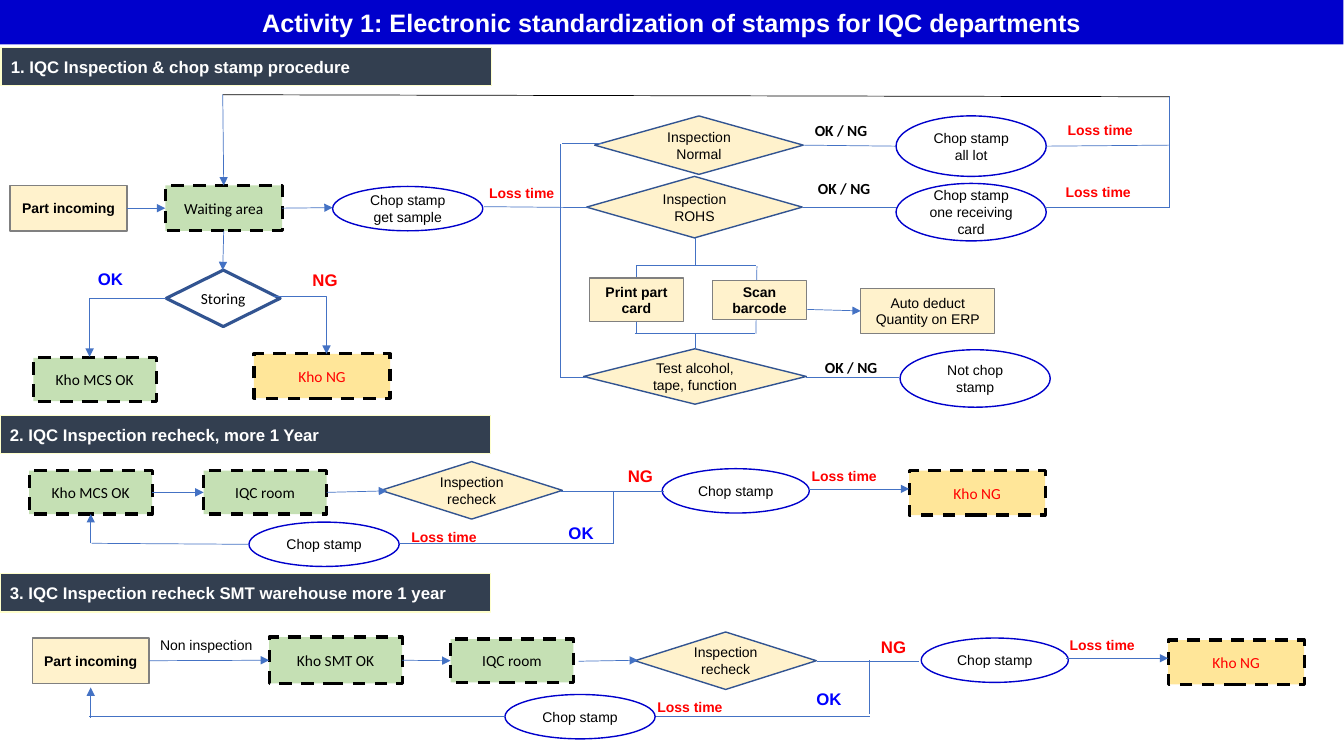
from dataclasses import dataclass
from typing import Optional

from lxml.etree import SubElement
from pptx import Presentation
from pptx.dml.color import RGBColor
from pptx.enum.dml import MSO_LINE
from pptx.enum.shapes import MSO_CONNECTOR, MSO_SHAPE
from pptx.enum.text import MSO_ANCHOR, MSO_AUTO_SIZE, PP_ALIGN
from pptx.oxml.ns import qn
from pptx.util import Cm, Pt

COLORS = {
    "title": "0000CC", "heading": "333F50", "cream": "FFF2CC", "green": "C5E0B4",
    "gold": "FFE699", "pale": "FFFFCC", "gray": "808080", "edge": "325491",
    "flow": "4472C4", "black": "000000", "white": "FFFFFF", "red": "FF0000",
    "blue": "0000FF",
}
CM_PER_INCH = 2.54
JOIN_GAP = Cm(0.08)


@dataclass(frozen=True)
class Style:
    w: float
    h: float
    shape: Optional[MSO_SHAPE] = None
    fill: Optional[str] = None
    line: Optional[str] = None
    line_pt: float = 1
    dash: bool = False
    font: str = "Arial"
    size: float = 10
    color: str = "black"
    bold: bool = False
    align: PP_ALIGN = PP_ALIGN.CENTER
    inset: Optional[float] = None


@dataclass(frozen=True)
class Box:
    style: str
    text: str
    x: float
    y: float
    w: Optional[float] = None
    h: Optional[float] = None


@dataclass(frozen=True)
class Link:
    x1: float
    y1: float
    x2: float
    y2: float
    arrow: bool = False
    bent: bool = False
    color: str = "flow"


RECT, OVAL, DIAMOND = MSO_SHAPE.RECTANGLE, MSO_SHAPE.OVAL, MSO_SHAPE.DIAMOND
STYLES = {
    "title": Style(13.33, 0.44, RECT, "title", size=18, color="white", bold=True),
    "heading": Style(4.87, 0.38, RECT, "heading", "pale", size=12, color="white",
                     bold=True, align=PP_ALIGN.LEFT),
    "part": Style(1.16, 0.45, RECT, "cream", "gray", bold=True),
    "auto": Style(1.33, 0.45, RECT, "cream", "gray"),
    "area": Style(1.22, 0.43, RECT, "green", "black", 2.25, True, "Calibri", 11),
    "reject": Style(1.35, 0.44, RECT, "gold", "black", 2.25, True, "Calibri", 11, "red"),
    "check": Style(1.8, 0.57, DIAMOND, "cream", "edge"),
    "storing": Style(1.13, 0.56, MSO_SHAPE.FLOWCHART_DECISION, None, "edge", 2.25,
                     font="Calibri", size=11, inset=0),
    "stamp": Style(1.49, 0.44, OVAL, None, "title"),
    "either": Style(0.91, 0.29, font="Calibri", size=11, bold=True),
    "loss": Style(0.91, 0.27, color="red", bold=True),
    "ok": Style(0.59, 0.3, size=12, color="blue", bold=True),
    "ng": Style(0.59, 0.3, size=12, color="red", bold=True),
    "note": Style(0.99, 0.17, inset=0),
}

BOXES = [
    Box("title", "Activity 1: Electronic standardization of stamps for IQC departments", 0, 0),
    Box("heading", "1. IQC Inspection & chop stamp procedure", 0.01, 0.47),
    Box("part", "Part incoming", 0.1, 1.84),
    Box("area", "Waiting area", 1.64, 1.84, 1.16, 0.45),
    Box("stamp", "Chop stamp get sample", 3.3, 1.85),
    Box("check", "Inspection Normal", 5.9, 1.15, 2.07, 0.58),
    Box("check", "Inspection ROHS", 5.82, 1.75, 2.14, 0.61),
    Box("check", "Test alcohol, tape, function", 5.79, 3.46, 2.21, 0.55),
    Box("stamp", "Chop stamp all lot", 8.89, 1.15, h=0.6),
    Box("stamp", "Chop stamp one receiving card", 8.89, 1.82, h=0.57),
    Box("stamp", "Not chop stamp", 8.93, 3.47, h=0.57),
    Box("auto", "Auto deduct Quantity on ERP", 8.54, 2.86),
    Box("storing", "Storing", 1.65, 2.68),
    Box("area", "Kho MCS OK", 0.33, 3.55),
    Box("reject", "Kho NG", 2.52, 3.51),
    Box("heading", "2. IQC Inspection recheck, more 1 Year", 0, 4.12),
    Box("area", "Kho MCS OK", 0.29, 4.67),
    Box("area", "IQC room", 2.02, 4.67),
    Box("check", "Inspection recheck", 3.78, 4.58),
    Box("stamp", "Chop stamp", 6.57, 4.65, 1.46),
    Box("reject", "Kho NG", 9.02, 4.67),
    Box("stamp", "Chop stamp", 2.47, 5.18),
    Box("heading", "3. IQC Inspection recheck SMT warehouse more 1 year", 0, 5.69),
    Box("part", "Part incoming", 0.32, 6.33),
    Box("area", "Kho SMT OK", 2.67, 6.32, 1.32, 0.46),
    Box("area", "IQC room", 4.47, 6.34),
    Box("check", "Inspection recheck", 6.3, 6.27),
    Box("stamp", "Chop stamp", 9.14, 6.33, 1.46),
    Box("reject", "Kho NG", 11.59, 6.35),
    Box("stamp", "Chop stamp", 5.01, 6.89),
    Box("note", "Non inspection", 1.55, 6.31),
]
BOXES += [Box("either", "OK / NG", x, y)
          for x, y in [(7.89, 1.15), (7.92, 1.73), (7.99, 3.5)]]
BOXES += [Box("loss", "Loss time", x, y)
          for x, y in [(4.72, 1.78), (10.46, 1.16), (10.44, 1.77), (7.92, 4.59),
                       (3.95, 5.19), (10.48, 6.27), (6.39, 6.88)]]
BOXES += [Box("ok", "OK", x, y) for x, y in [(0.8, 2.62), (5.47, 5.14), (7.93, 6.78)]]
BOXES += [Box("ng", "NG", x, y) for x, y in [(2.93, 2.63), (6.06, 4.57), (8.57, 6.27)]]

CARDS = [
    Box("part", "Print part card", 5.85, 2.76, 0.93, 0.43),
    Box("part", "Scan barcode", 7.07, 2.78, 0.93, 0.39),
]

LINKS = [
    Link(1.26, 2.06, 1.64, 2.07, arrow=True),
    Link(2.8, 2.06, 3.3, 2.06, arrow=True),
    Link(4.8, 2.05, 5.84, 2.06),
    Link(5.56, 1.43, 5.56, 3.74),
    Link(5.58, 1.42, 5.98, 1.42),
    Link(5.56, 3.74, 5.82, 3.74),
    Link(7.97, 1.44, 8.89, 1.45),
    Link(7.97, 2.06, 8.89, 2.06),
    Link(8, 3.74, 8.92, 3.74),
    Link(10.37, 1.45, 11.6, 1.44),
    Link(10.37, 2.06, 11.6, 2.06),
    Link(11.6, 2.06, 11.6, 0.95),
    Link(11.6, 0.96, 2.21, 0.94, color="black"),
    Link(2.21, 0.94, 2.21, 1.83, arrow=True),
    Link(2.22, 2.29, 2.21, 2.68, arrow=True),
    Link(2.71, 2.94, 3.24, 3.51, arrow=True, bent=True),
    Link(1.65, 2.96, 0.89, 3.54, arrow=True, bent=True),
    Link(6.9, 2.36, 6.9, 2.63),
    Link(6.31, 2.63, 7.5, 2.63),
    Link(6.31, 2.63, 6.31, 3.31),
    Link(7.51, 2.64, 7.5, 3.31),
    Link(6.3, 3.31, 7.49, 3.31),
    Link(6.9, 3.31, 6.9, 3.46),
    Link(8.01, 3.07, 8.54, 3.07, arrow=True),
    Link(1.51, 4.88, 2, 4.88, arrow=True),
    Link(3.26, 4.87, 3.84, 4.87, arrow=True),
    Link(5.57, 4.87, 6.59, 4.87),
    Link(6.09, 4.87, 6.09, 5.39),
    Link(6.09, 5.39, 3.97, 5.39),
    Link(2.47, 5.4, 0.91, 5.39),
    Link(0.9, 5.39, 0.9, 5.1, arrow=True),
    Link(8.02, 4.85, 9.02, 4.85, arrow=True),
    Link(1.48, 6.55, 2.67, 6.55, arrow=True),
    Link(3.99, 6.55, 4.49, 6.55, arrow=True),
    Link(5.74, 6.56, 6.33, 6.55, arrow=True),
    Link(8.11, 6.56, 9.12, 6.56),
    Link(8.63, 6.55, 8.63, 7.08),
    Link(8.63, 7.11, 6.51, 7.11),
    Link(5.01, 7.11, 0.88, 7.11),
    Link(0.9, 7.12, 0.9, 6.82, arrow=True),
    Link(10.58, 6.53, 11.59, 6.53, arrow=True),
]


def length(inches: float) -> Cm:
    return Cm(inches * CM_PER_INCH)


def rgb(name: str) -> RGBColor:
    return RGBColor.from_string(COLORS[name])


def write_text(tf, text: str, *, font: str, size: float, color: str, bold: bool,
               align: PP_ALIGN, inset: Optional[float] = None) -> None:
    tf.word_wrap = True
    if inset is not None:
        tf.margin_left = tf.margin_right = tf.margin_top = tf.margin_bottom = length(inset)
    p = tf.paragraphs[0]
    p.alignment = align
    r = p.add_run()
    r.text = text
    r.font.name, r.font.size, r.font.bold = font, Pt(size), bold
    r.font.color.rgb = rgb(color)


def draw_box(shapes, box: Box):
    st = STYLES[box.style]
    frame = [length(v) for v in (box.x, box.y, box.w or st.w, box.h or st.h)]
    if st.shape is None:
        sp = shapes.add_textbox(*frame)
        sp.text_frame.auto_size = MSO_AUTO_SIZE.SHAPE_TO_FIT_TEXT
    else:
        sp = shapes.add_shape(st.shape, *frame)
        sp.shadow.inherit = False
        sp.text_frame.vertical_anchor = MSO_ANCHOR.MIDDLE
        for fill, color in ((sp.fill, st.fill), (sp.line.fill, st.line)):
            if color:
                fill.solid()
                fill.fore_color.rgb = rgb(color)
            else:
                fill.background()
        if st.line:
            sp.line.width = Pt(st.line_pt)
        if st.dash:
            sp.line.dash_style = MSO_LINE.DASH
    write_text(sp.text_frame, box.text, font=st.font, size=st.size, color=st.color,
               bold=st.bold, align=st.align, inset=st.inset)
    return sp


def find_side(x: int, y: int, rects: list) -> Optional[tuple]:
    for sp in rects:
        cx, cy = sp.left + sp.width // 2, sp.top + sp.height // 2
        sides = [(cx, sp.top), (sp.left, cy),
                 (cx, sp.top + sp.height), (sp.left + sp.width, cy)]
        for site, (sx, sy) in enumerate(sides):
            if abs(sx - x) <= JOIN_GAP and abs(sy - y) <= JOIN_GAP:
                return sp, site
    return None


def draw_link(shapes, link: Link, rects: list) -> None:
    kind = MSO_CONNECTOR.ELBOW if link.bent else MSO_CONNECTOR.STRAIGHT
    c = shapes.add_connector(kind, *map(length, (link.x1, link.y1, link.x2, link.y2)))
    c.line.color.rgb = rgb(link.color)
    c.line.width = Pt(0.5)
    spPr = c.element.spPr
    if link.arrow:
        SubElement(spPr.find(qn("a:ln")), qn("a:tailEnd")).set("type", "triangle")
    SubElement(spPr, qn("a:effectLst"))
    if link.bent:
        spPr.find(qn("a:prstGeom")).set("prst", "bentConnector2")
        return
    start = find_side(c.begin_x, c.begin_y, rects)
    end = find_side(c.end_x, c.end_y, rects)
    if start:
        c.begin_connect(*start)
    if end:
        c.end_connect(*end)


def main() -> None:
    prs = Presentation()
    prs.slide_width, prs.slide_height = Cm(33.87), Cm(19.05)
    shapes = prs.slides.add_slide(prs.slide_layouts[6]).shapes
    drawn = [(box, draw_box(shapes, box)) for box in BOXES]
    rects = [sp for box, sp in drawn if STYLES[box.style].shape == RECT]
    for link in LINKS:
        draw_link(shapes, link, rects)
    for card in CARDS:
        draw_box(shapes, card)
    prs.save("out.pptx")


if __name__ == "__main__":
    main()
